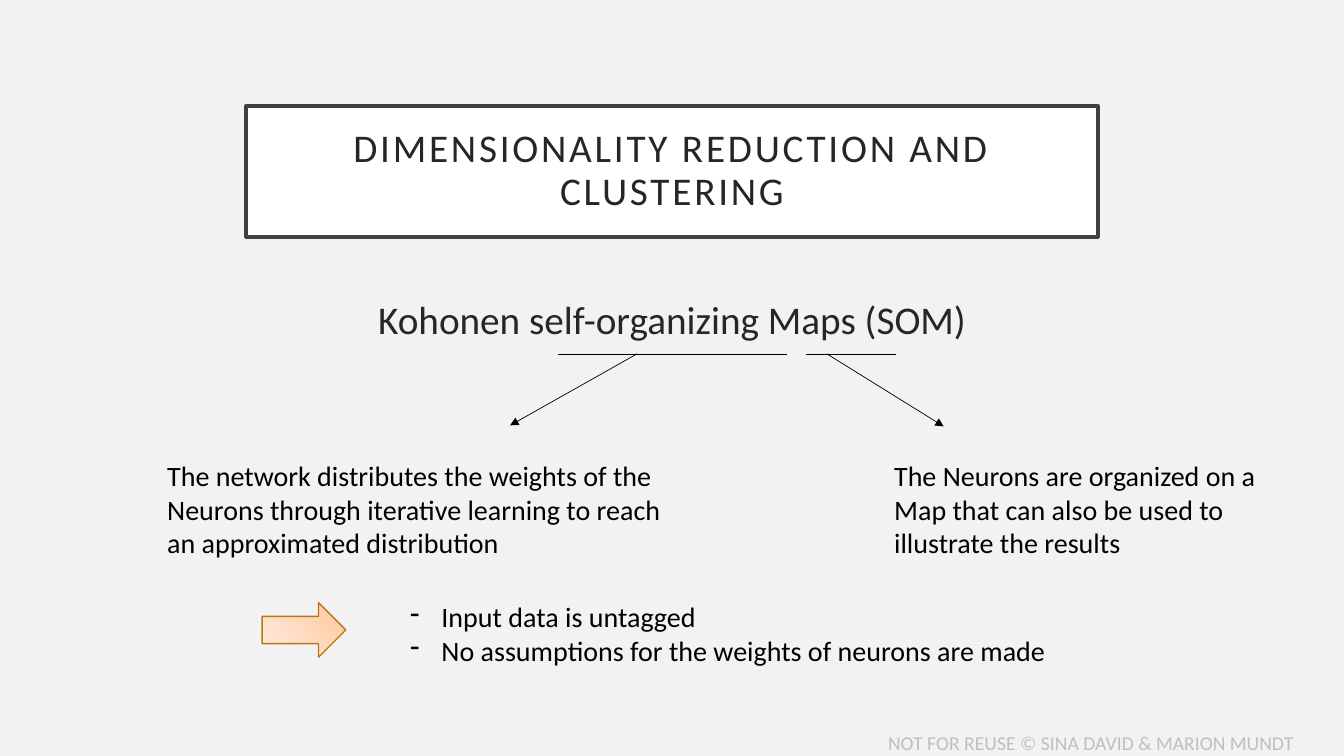
from dataclasses import dataclass

from lxml.etree import SubElement
from pptx import Presentation
from pptx.dml.color import RGBColor
from pptx.enum.shapes import MSO_CONNECTOR as Link, MSO_SHAPE as Kind
from pptx.enum.text import MSO_ANCHOR as Anchor, PP_ALIGN as Align
from pptx.oxml.ns import qn
from pptx.shapes.autoshape import Shape
from pptx.slide import Slide
from pptx.util import Pt

PX = 9144
FONT = "Calibri"
PAPER = RGBColor(0xF2, 0xF2, 0xF2)
WHITE = RGBColor(0xFF, 0xFF, 0xFF)
BLACK = RGBColor(0, 0, 0)
INK = RGBColor(0x26, 0x26, 0x26)
FRAME = RGBColor(0x40, 0x40, 0x40)
GREY = RGBColor(0xBF, 0xBF, 0xBF)
PEACH = RGBColor(0xFF, 0xC7, 0x9B)
CREAM = RGBColor(0xFF, 0xED, 0xE1)
BROWN = RGBColor(0xB6, 0x78, 0x15)


@dataclass
class Label:
    left: int
    top: int
    width: int
    height: int
    text: str
    size: int = 20
    color: RGBColor = BLACK
    align: Align = Align.LEFT
    wrap: bool = True
    dash: bool = False


@dataclass
class Line:
    x1: int
    y1: int
    x2: int
    y2: int
    arrow: bool = False


LABELS = [
    Label(871, 720, 471, 34, "NOT FOR REUSE © SINA DAVID & MARION MUNDT", 14, GREY, wrap=False),
    Label(244, 288, 845, 60, "Kohonen self-organizing Maps (SOM)", 28, INK, Align.CENTER),
    Label(156, 450, 531, 111,
          "The network distributes the weights of the Neurons through "
          "iterative learning to reach an approximated distribution"),
    Label(877, 450, 383, 111,
          "The Neurons are organized on a Map that can also be used to illustrate the results"),
    Label(397, 590, 718, 77,
          "Input data is untagged\nNo assumptions for the weights of neurons are made", dash=True),
]

LINES = [
    Line(553, 352, 781, 352),
    Line(799, 352, 889, 352),
    Line(632, 351, 506, 422, arrow=True),
    Line(820, 351, 936, 423, arrow=True),
]


def style(shape: Shape, size: int, color: RGBColor, align: Align) -> None:
    for para in shape.text_frame.paragraphs:
        para.alignment = align
        for run in para.runs:
            run.font.name = FONT
            run.font.size = Pt(size)
            run.font.color.rgb = color


def add_label(slide: Slide, item: Label) -> None:
    box = slide.shapes.add_textbox(item.left * PX, item.top * PX, item.width * PX, item.height * PX)
    frame = box.text_frame
    frame.word_wrap = item.wrap
    frame.text = item.text
    if item.dash:
        for para in frame.paragraphs:
            props = para._p.get_or_add_pPr()
            props.set("marL", str(31 * PX))
            props.set("indent", str(-31 * PX))
            SubElement(props, qn("a:buChar")).set("char", "-")
    style(box, item.size, item.color, item.align)


def add_line(slide: Slide, item: Line) -> None:
    line = slide.shapes.add_connector(
        Link.STRAIGHT, item.x1 * PX, item.y1 * PX, item.x2 * PX, item.y2 * PX)
    line.line.color.rgb = BLACK
    line.line.width = Pt(0.5)
    props = line._element.spPr
    if item.arrow:
        SubElement(props.find(qn("a:ln")), qn("a:tailEnd")).set("type", "triangle")
    SubElement(props, qn("a:effectLst"))


def add_title(slide: Slide) -> None:
    box = slide.shapes.add_shape(Kind.RECTANGLE, 244 * PX, 105 * PX, 845 * PX, 130 * PX)
    box.shadow.inherit = False
    box.fill.solid()
    box.fill.fore_color.rgb = WHITE
    box.line.color.rgb = FRAME
    box.line.width = Pt(2.5)
    frame = box.text_frame
    frame.word_wrap = True
    frame.vertical_anchor = Anchor.MIDDLE
    frame.margin_left = frame.margin_right = 20 * PX
    frame.margin_top = frame.margin_bottom = 20 * PX
    frame.text = "DIMENSIONALITY REDUCTION AND CLUSTERING"
    style(box, 28, INK, Align.CENTER)
    para = frame.paragraphs[0]
    para.line_spacing = 0.9
    para.runs[0]._r.get_or_add_rPr().set("spc", "200")


def add_arrow(slide: Slide) -> None:
    arrow = slide.shapes.add_shape(Kind.RIGHT_ARROW, 260 * PX, 598 * PX, 83 * PX, 54 * PX)
    arrow.shadow.inherit = False
    arrow.fill.gradient()
    arrow.fill.gradient_angle = 225
    for stop, color in zip(arrow.fill.gradient_stops, (PEACH, CREAM)):
        stop.color.rgb = color
    arrow.line.color.rgb = BROWN
    arrow.line.width = Pt(1)


def main() -> None:
    deck = Presentation()
    deck.slide_width = 1333 * PX
    deck.slide_height = 750 * PX
    slide = deck.slides.add_slide(deck.slide_layouts[6])
    slide.background.fill.solid()
    slide.background.fill.fore_color.rgb = PAPER
    add_title(slide)
    for label in LABELS:
        add_label(slide, label)
    for line in LINES:
        add_line(slide, line)
    add_arrow(slide)
    deck.save("out.pptx")


if __name__ == "__main__":
    main()
